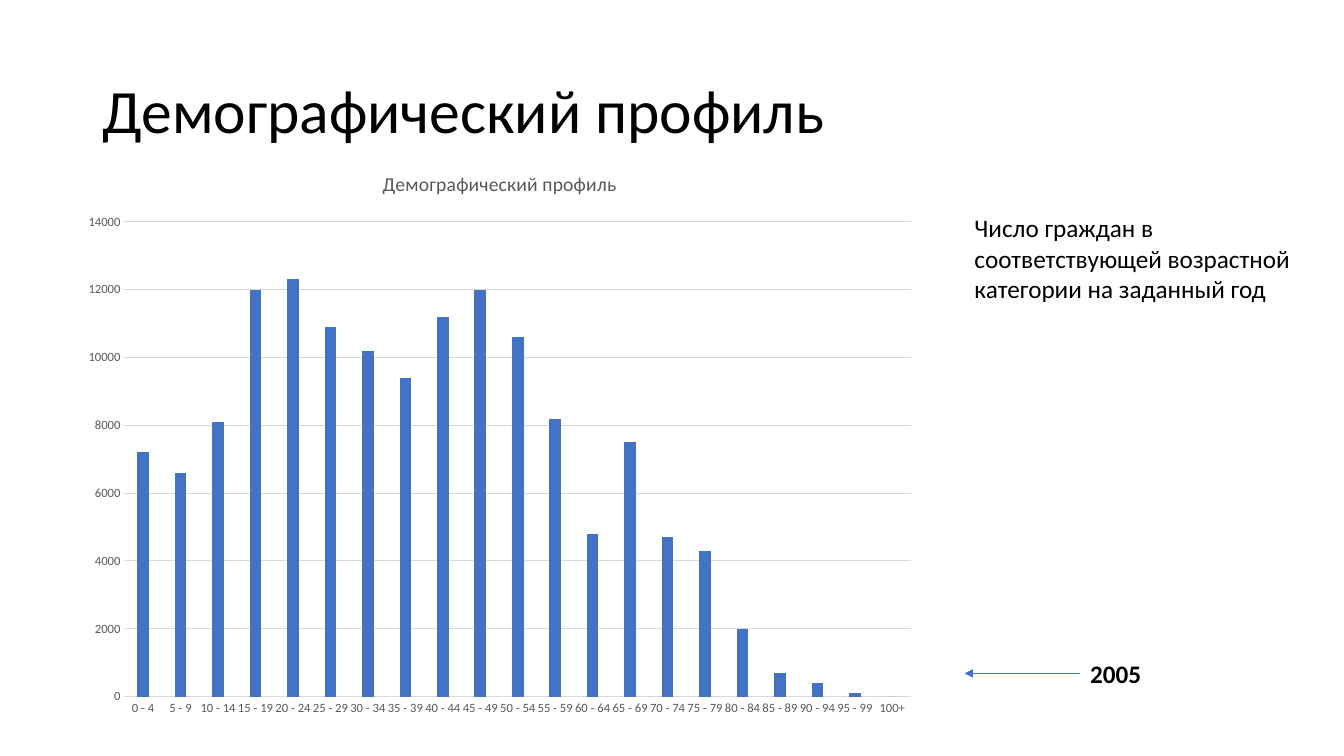
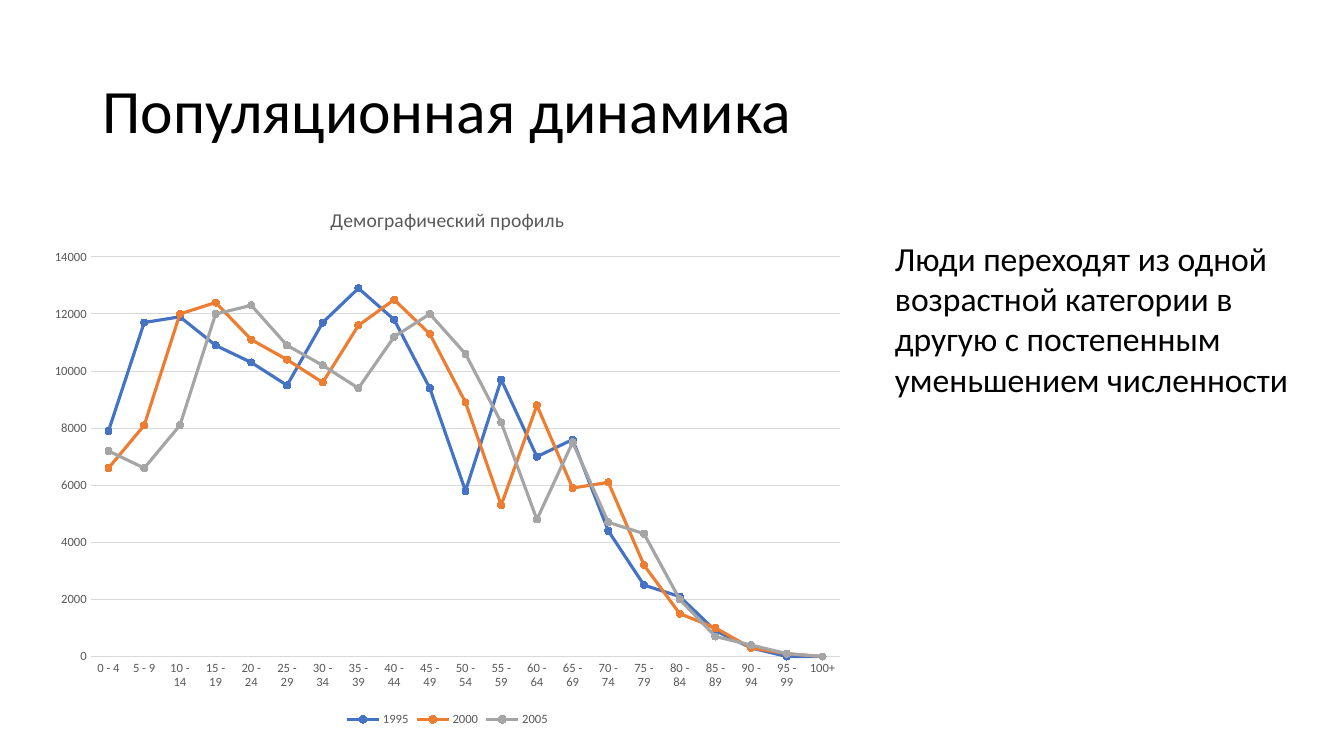
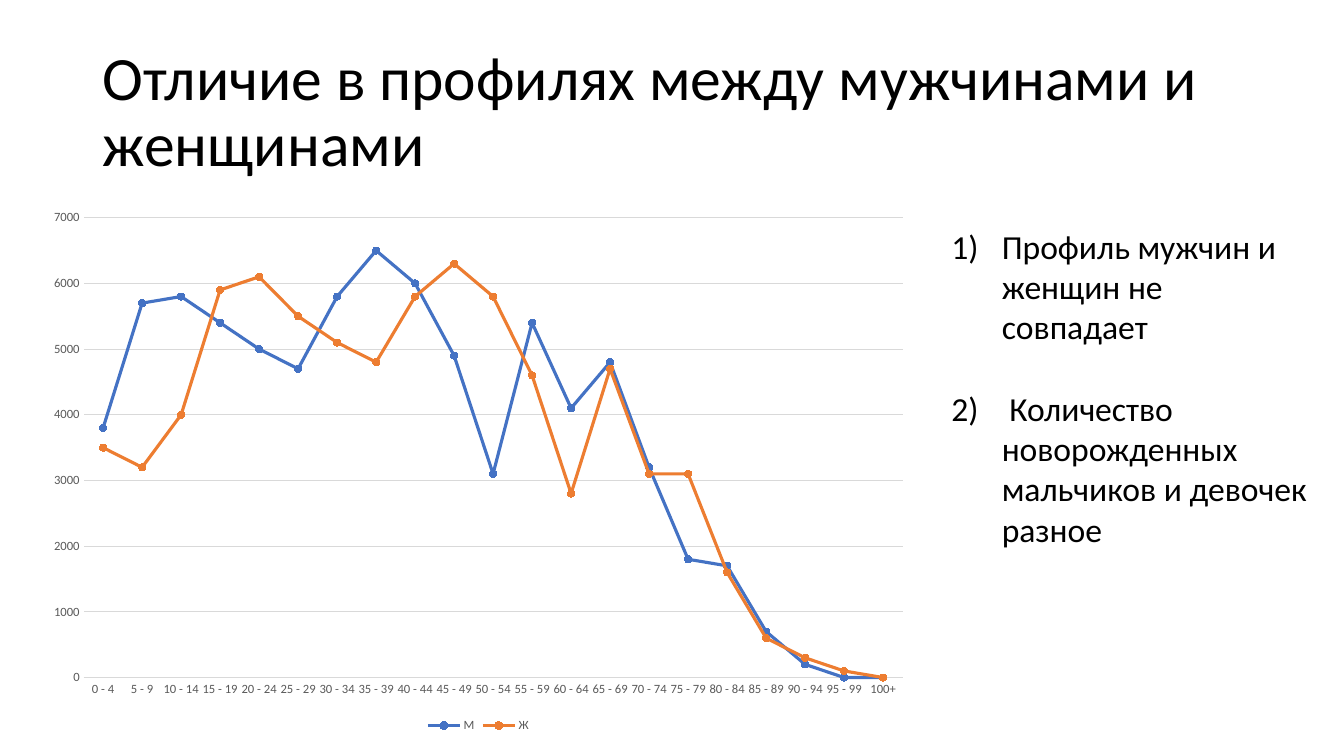
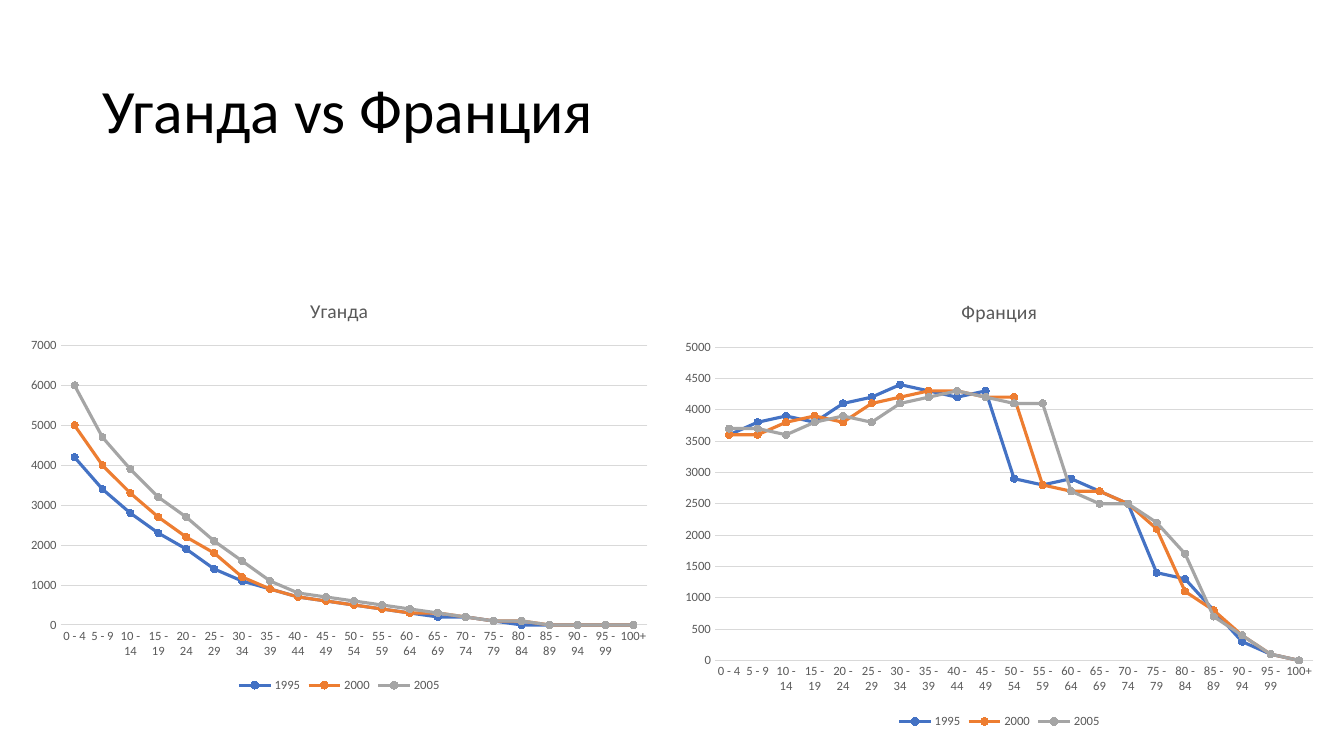
"""Builds four slides on demographic profiles."""
from lxml import etree
from pptx import Presentation
from pptx.chart.data import CategoryChartData
from pptx.dml.color import RGBColor
from pptx.enum import chart as ch, shapes, text
from pptx.oxml.ns import qn
from pptx.util import Pt

FONT = "Calibri"
BLACK = RGBColor(0x00, 0x00, 0x00)
LABEL = RGBColor(0x59, 0x59, 0x59)
RULE = RGBColor(0xD9, 0xD9, 0xD9)
BLUE = RGBColor(0x44, 0x72, 0xC4)
ORANGE = RGBColor(0xED, 0x7D, 0x31)
GREY = RGBColor(0xA5, 0xA5, 0xA5)
SERIES_COLOURS = (BLUE, ORANGE, GREY)

PROFILE = "Демографический профиль"
AGES = [f"{start} - {start + 4}" for start in range(0, 100, 5)] + ["100+"]

COUNTRY = {
    "1995": (7900, 11700, 11900, 10900, 10300, 9500, 11700, 12900, 11800, 9400, 5800,
             9700, 7000, 7600, 4400, 2500, 2100, 900, 300, 0, 0),
    "2000": (6600, 8100, 12000, 12400, 11100, 10400, 9600, 11600, 12500, 11300, 8900,
             5300, 8800, 5900, 6100, 3200, 1500, 1000, 300, 100, 0),
    "2005": (7200, 6600, 8100, 12000, 12300, 10900, 10200, 9400, 11200, 12000, 10600,
             8200, 4800, 7500, 4700, 4300, 2000, 700, 400, 100, 0),
}
SEXES = {
    "М": (3800, 5700, 5800, 5400, 5000, 4700, 5800, 6500, 6000, 4900, 3100,
          5400, 4100, 4800, 3200, 1800, 1700, 700, 200, 0, 0),
    "Ж": (3500, 3200, 4000, 5900, 6100, 5500, 5100, 4800, 5800, 6300, 5800,
          4600, 2800, 4700, 3100, 3100, 1600, 600, 300, 100, 0),
}
UGANDA = {
    "1995": (4200, 3400, 2800, 2300, 1900, 1400, 1100, 900, 700, 600, 500,
             400, 300, 200, 200, 100, 0, 0, 0, 0, 0),
    "2000": (5000, 4000, 3300, 2700, 2200, 1800, 1200, 900, 700, 600, 500,
             400, 300, 300, 200, 100, 100, 0, 0, 0, 0),
    "2005": (6000, 4700, 3900, 3200, 2700, 2100, 1600, 1100, 800, 700, 600,
             500, 400, 300, 200, 100, 100, 0, 0, 0, 0),
}
FRANCE = {
    "1995": (3600, 3800, 3900, 3800, 4100, 4200, 4400, 4300, 4200, 4300, 2900,
             2800, 2900, 2700, 2500, 1400, 1300, 800, 300, 100, 0),
    "2000": (3600, 3600, 3800, 3900, 3800, 4100, 4200, 4300, 4300, 4200, 4200,
             2800, 2700, 2700, 2500, 2100, 1100, 800, 400, 100, 0),
    "2005": (3700, 3700, 3600, 3800, 3900, 3800, 4100, 4200, 4300, 4200, 4100,
             4100, 2700, 2500, 2500, 2200, 1700, 700, 400, 100, 0),
}


def style_font(font, size, colour=BLACK, bold=False):
    """Set the face, size, colour and weight of a font."""
    font.name, font.size, font.bold = FONT, Pt(size), bold
    font.color.rgb = colour


def add_run(paragraph, words, size, bold=False):
    """Add one formatted run to a paragraph."""
    run = paragraph.add_run()
    run.text = words
    style_font(run.font, size, bold=bold)


def add_titled_slide(deck, heading):
    """Add a title-only slide with its title in the shared style."""
    slide = deck.slides.add_slide(deck.slide_layouts[5])
    title = slide.shapes.title
    title.left, title.top, title.width, title.height = Pt(66), Pt(28.8), Pt(828), Pt(104.4)
    frame = title.text_frame
    frame.vertical_anchor = text.MSO_ANCHOR.MIDDLE
    frame.auto_size = text.MSO_AUTO_SIZE.NONE
    paragraph = frame.paragraphs[0]
    paragraph.alignment = text.PP_ALIGN.LEFT
    paragraph.line_spacing = 0.9
    add_run(paragraph, heading, 44)
    return slide


def add_note(slide, box, items, size, bold=False, numbered=False):
    """Add a wrapped text box with one paragraph per item."""
    note = slide.shapes.add_textbox(*map(Pt, box))
    frame = note.text_frame
    frame.word_wrap = True
    frame.auto_size = text.MSO_AUTO_SIZE.SHAPE_TO_FIT_TEXT
    for index, words in enumerate(items):
        paragraph = frame.add_paragraph() if index else frame.paragraphs[0]
        if index:
            paragraph.space_before = Pt(size * 1.22)
        if numbered:
            number_paragraph(paragraph)
        add_run(paragraph, words, size, bold)
    return note


def number_paragraph(paragraph):
    """Give a paragraph a hanging number such as 1)."""
    properties = paragraph._p.get_or_add_pPr()
    properties.set("marL", str(Pt(36)))
    properties.set("indent", str(-Pt(36)))
    etree.SubElement(properties, qn("a:buFont"), typeface="+mj-lt")
    etree.SubElement(properties, qn("a:buAutoNum"), type="arabicParenR")


def add_arrow(slide, label, tip_x, y):
    """Draw a thin arrow from the left side of a label to a point."""
    arrow = slide.shapes.add_connector(
        shapes.MSO_CONNECTOR.STRAIGHT, label.left, Pt(y), Pt(tip_x), Pt(y))
    arrow.begin_connect(label, 1)
    arrow.line.color.rgb = BLUE
    arrow.line.width = Pt(0.5)
    etree.SubElement(arrow.line._get_or_add_ln(), qn("a:tailEnd"), type="triangle")
    etree.SubElement(arrow._element.spPr, qn("a:effectLst"))


def style_axes(chart, top, step):
    """Format both axes and the horizontal grid."""
    ages, people = chart.category_axis, chart.value_axis
    for axis in (ages, people):
        axis.major_tick_mark = axis.minor_tick_mark = ch.XL_TICK_MARK.NONE
        style_font(axis.tick_labels.font, 9, LABEL)
        axis._element.txPr.bodyPr.set("rot", "-60000000")
    people.minimum_scale, people.maximum_scale, people.major_unit = 0, top, step
    people.has_major_gridlines = True
    people.format.line.fill.background()
    for line in (ages.format.line, people.major_gridlines.format.line):
        line.color.rgb = RULE
        line.width = Pt(0.75)


def add_age_chart(slide, kind, box, series, top, step, heading):
    """Add a chart over the age groups, with an optional heading."""
    data = CategoryChartData()
    data.categories = AGES
    for name, people in series.items():
        data.add_series(name, people)
    chart = slide.shapes.add_chart(kind, *map(Pt, box), data).chart
    style_font(chart.font, 10)
    chart.has_title = bool(heading)
    if heading:
        run = chart.chart_title.text_frame.paragraphs[0].add_run()
        run.text = heading
        style_font(run.font, 14, LABEL)
    chart.plots[0].vary_by_categories = False
    style_axes(chart, top, step)
    return chart


def add_columns(slide, box, series, top, step, heading=None):
    """Add a column chart without a legend."""
    chart = add_age_chart(slide, ch.XL_CHART_TYPE.COLUMN_CLUSTERED, box, series, top, step, heading)
    chart.has_legend = False
    plot = chart.plots[0]
    plot.gap_width, plot.overlap = 219, -27
    fill = plot.series[0].format.fill
    fill.solid()
    fill.fore_color.rgb = BLUE


def add_lines(slide, box, series, top, step, heading=None):
    """Add a line chart with round markers and a legend below."""
    chart = add_age_chart(slide, ch.XL_CHART_TYPE.LINE_MARKERS, box, series, top, step, heading)
    chart.has_legend = True
    chart.legend.position = ch.XL_LEGEND_POSITION.BOTTOM
    chart.legend.include_in_layout = False
    style_font(chart.legend.font, 9, LABEL)
    for curve, colour in zip(chart.plots[0].series, SERIES_COLOURS):
        curve.smooth = False
        curve.format.line.color.rgb = colour
        curve.format.line.width = Pt(2.25)
        curve.marker.style = ch.XL_MARKER_STYLE.CIRCLE
        curve.marker.size = 5
        curve.marker.format.fill.solid()
        curve.marker.format.fill.fore_color.rgb = colour
        curve.marker.format.line.color.rgb = colour


def main():
    """Build the four slides and save them."""
    deck = Presentation()
    deck.slide_width, deck.slide_height = Pt(960), Pt(540)

    profile = add_titled_slide(deck, PROFILE)
    add_columns(profile, (51, 107.2, 612, 412), {"Series 1": COUNTRY["2005"]}, 14000, 2000, PROFILE)
    add_note(profile, (689, 148.4, 244, 72.8),
             ["Число граждан в соответствующей возрастной категории на заданный год"], 18)
    year = add_note(profile, (771.6, 466.4, 105, 29.2), ["2005"], 18, bold=True)
    add_arrow(profile, year, 689, 481)

    dynamics = add_titled_slide(deck, "Популяционная динамика")
    add_lines(dynamics, (27.4, 133.2, 584.6, 388.8), COUNTRY, 14000, 2000, PROFILE)
    add_note(dynamics, (632.2, 166.2, 316, 124),
             ["Люди переходят из одной возрастной категории в другую "
              "с постепенным уменьшением численности"], 24)

    difference = add_titled_slide(deck, "Отличие в профилях между мужчинами и женщинами")
    add_lines(difference, (26, 142.6, 631.4, 383.8), SEXES, 7000, 1000)
    add_note(difference, (672.5, 157.7, 270.7, 239.8),
             ["Профиль мужчин и женщин не совпадает",
              " Количество новорожденных мальчиков и девочек разное"], 24, numbered=True)

    comparison = add_titled_slide(deck, "Уганда vs Франция")
    add_lines(comparison, (13, 200.2, 458.6, 297.4), UGANDA, 7000, 1000, "Уганда")
    add_lines(comparison, (480.2, 200.2, 467.3, 323.3), FRANCE, 5000, 500, "Франция")

    deck.save("out.pptx")


if __name__ == "__main__":
    main()
